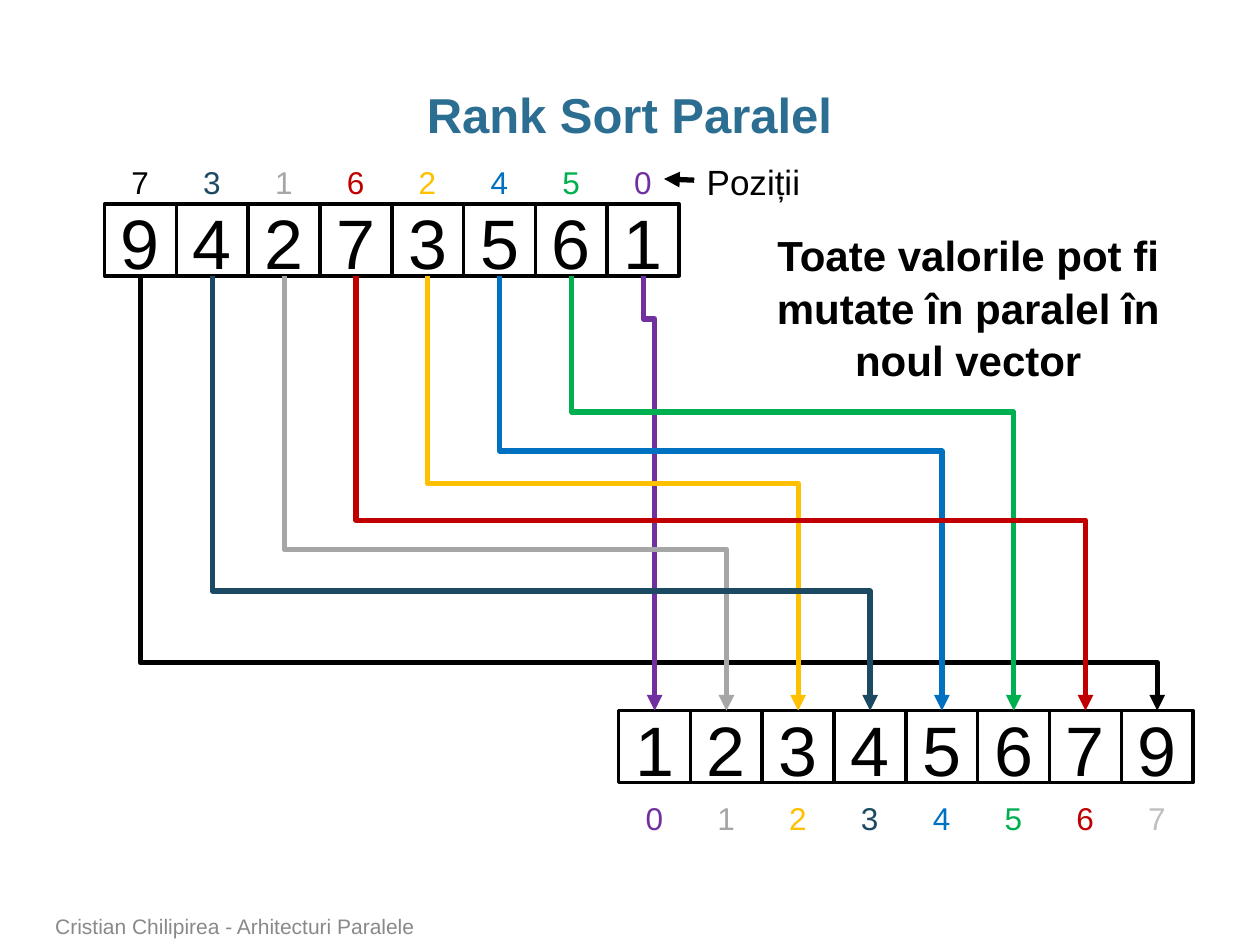
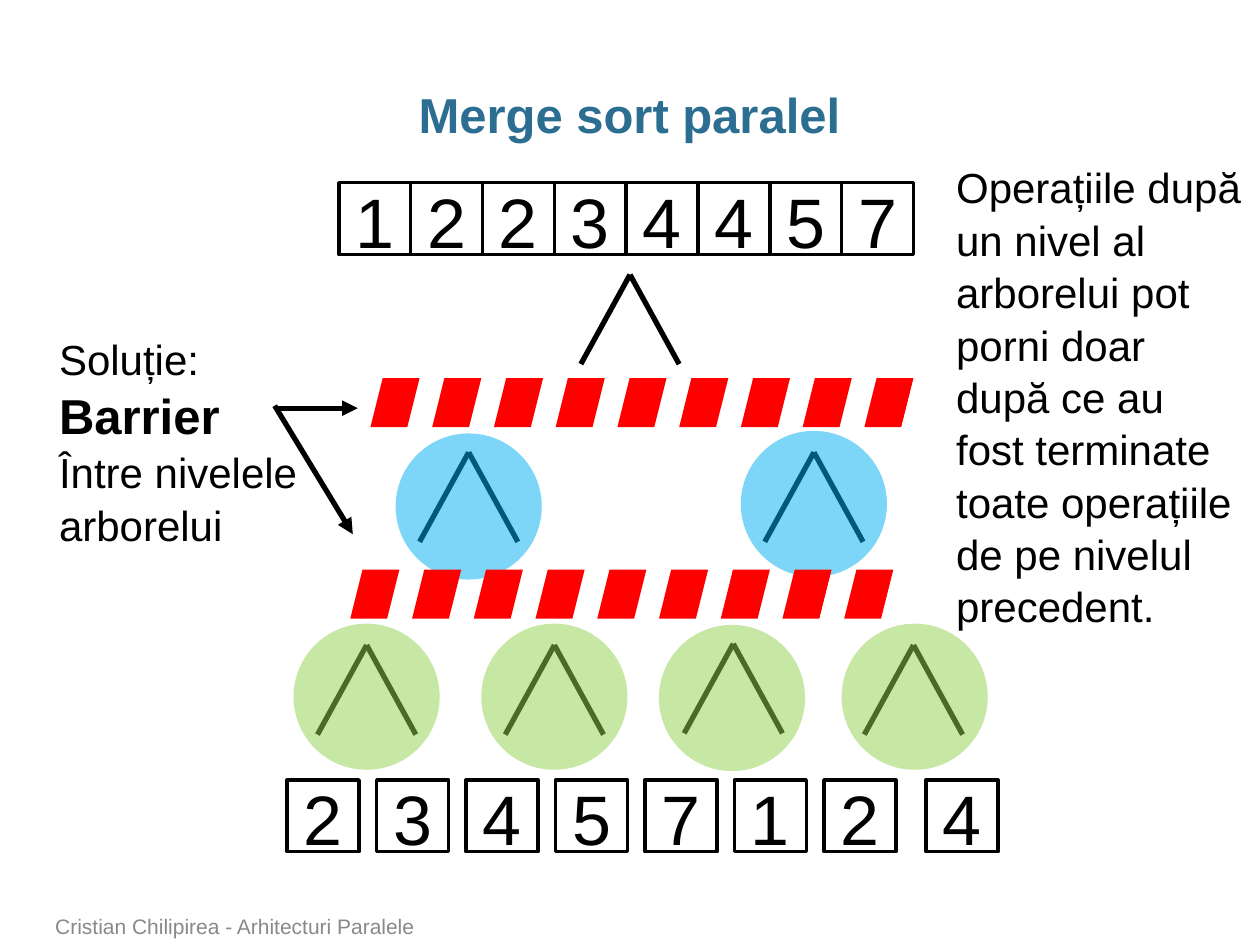
from lxml.etree import SubElement
from pptx import Presentation
from pptx.dml.color import RGBColor
from pptx.enum.shapes import MSO_CONNECTOR as Link, MSO_SHAPE as Shape
from pptx.enum.text import MSO_ANCHOR as Anchor, MSO_AUTO_SIZE as Fit, PP_ALIGN as Align
from pptx.oxml.ns import qn
from pptx.util import Inches, Pt

BLACK = RGBColor(0x00, 0x00, 0x00)
TITLE = RGBColor(0x2C, 0x6D, 0x92)
GREY = RGBColor(0x89, 0x89, 0x89)
SILVER = RGBColor(0xA6, 0xA6, 0xA6)
PALE = RGBColor(0xBF, 0xBF, 0xBF)
NAVY = RGBColor(0x1D, 0x4A, 0x63)
CRIMSON = RGBColor(0xC0, 0x00, 0x00)
GOLD = RGBColor(0xFF, 0xC0, 0x00)
BLUE = RGBColor(0x00, 0x70, 0xC0)
GREEN = RGBColor(0x00, 0xB0, 0x50)
PURPLE = RGBColor(0x70, 0x30, 0xA0)
LIME = RGBColor(0x92, 0xD0, 0x50)
SKY = RGBColor(0x00, 0xB0, 0xF0)
RED = RGBColor(0xFF, 0x00, 0x00)

FONT = "Arial"
FOOTER = "Cristian Chilipirea - Arhitecturi Paralele"
CELL = 0.57


class Deck:
    """Holds the style and the current slide."""

    def __init__(self):
        self.prs = Presentation()
        self.prs.slide_width, self.prs.slide_height = Inches(10), Inches(7.5)

    def start(self, title):
        self.slide = self.prs.slides.add_slide(self.prs.slide_layouts[5])
        self.shapes = self.slide.shapes
        head = self.shapes.title
        self.place(head, 0.34, 0.68, 9.31, 0.5)
        frame = head.text_frame
        frame.text = title
        frame.auto_size = Fit.NONE
        frame.vertical_anchor = Anchor.MIDDLE
        frame.margin_left = frame.margin_right = 0
        self.style(frame.paragraphs[0], 28, TITLE, True, Align.CENTER, 0.95)
        self.text(FOOTER, 0.34, 7.22, 7.37, 0.28, 12, GREY, anchor=Anchor.BOTTOM)

    def place(self, item, x, y, w, h):
        item.left, item.top = Inches(x), Inches(y)
        item.width, item.height = Inches(w), Inches(h)

    def style(self, para, size, color=BLACK, bold=False, align=Align.LEFT, space=1.04):
        para.alignment = align
        para.line_spacing = space
        font = para.font
        font.name, font.size, font.bold = FONT, Pt(size), bold
        font.color.rgb = color

    def text(self, words, x, y, w, h, size, color=BLACK, bold=False,
             align=Align.LEFT, wrap=True, anchor=Anchor.TOP):
        box = self.shapes.add_textbox(Inches(x), Inches(y), Inches(w), Inches(h))
        frame = box.text_frame
        frame.word_wrap = wrap
        frame.vertical_anchor = anchor
        frame.text = words
        for para in frame.paragraphs:
            self.style(para, size, color, bold, align)
        return frame

    def shape(self, kind, x, y, w, h, fill=None, alpha=None):
        item = self.shapes.add_shape(kind, Inches(x), Inches(y), Inches(w), Inches(h))
        item.shadow.inherit = False
        if fill is None:
            item.fill.background()
            item.line.color.rgb = BLACK
            item.line.width = Pt(2)
        else:
            item.fill.solid()
            item.fill.fore_color.rgb = fill
            item.line.fill.background()
        if alpha:
            tint = item.element.spPr.find(qn("a:solidFill"))[0]
            SubElement(tint, qn("a:alpha"), val=str(alpha * 1000))
        return item

    def cell(self, value, x, y):
        frame = self.shape(Shape.RECTANGLE, x, y, CELL, CELL).text_frame
        frame.text = str(value)
        frame.vertical_anchor = Anchor.MIDDLE
        self.style(frame.paragraphs[0], 40, align=Align.CENTER)

    def row(self, values, x, y):
        for i, value in enumerate(values):
            self.cell(value, x + i * CELL, y)

    def label(self, rank, mid, y, color):
        self.text(str(rank), mid - 0.17, y, 0.34, 0.4, 18, color, wrap=False)

    def line(self, x1, y1, x2, y2, color=BLACK, arrow=False, kind=Link.STRAIGHT):
        link = self.shapes.add_connector(kind, Inches(x1), Inches(y1), Inches(x2), Inches(y2))
        link.line.color.rgb = color
        link.line.width = Pt(3)
        props = link.element.spPr
        if arrow:
            SubElement(props.find(qn("a:ln")), qn("a:tailEnd"), type="triangle")
        SubElement(props, qn("a:effectLst"))
        return link

    def elbow(self, x1, y1, x2, y2, bend, color):
        """Runs down, across at height bend, then down to an arrowhead."""
        link = self.line(x1, y1, x2, y2, color, True, Link.ELBOW)
        w, h = y2 - y1, x2 - x1
        self.place(link, (x1 + x2 - w) / 2, (y1 + y2 - h) / 2, w, h)
        props = link.element.spPr
        frame = props.find(qn("a:xfrm"))
        frame.set("rot", "16200000")
        frame.set("flipH", "1")
        share = round((bend - y1) / w * 100000)
        guides = props.find(qn("a:prstGeom")).find(qn("a:avLst"))
        SubElement(guides, qn("a:gd"), name="adj1", fmla=f"val {share}")

    def fork(self, x, y):
        for side in (-0.39, 0.39):
            self.line(x + side, y + 0.71, x, y)

    def fence(self, x, y):
        for i in range(9):
            self.shape(Shape.PARALLELOGRAM, x + i * 0.49, y, 0.39, 0.39, RED)


def rank_sort(deck):
    deck.start("Rank Sort Paralel")
    # value, rank, colour, height of the bend
    moves = [(9, 7, BLACK, 5.26), (4, 3, NAVY, 4.69), (2, 1, SILVER, 4.36),
             (7, 6, CRIMSON, 4.13), (3, 2, GOLD, 3.84), (5, 4, BLUE, 3.58),
             (6, 5, GREEN, 3.27), (1, 0, PURPLE, 2.53)]
    left, top = 0.83, 1.62
    right, low = 4.91, 5.64

    # Both vectors
    deck.row([move[0] for move in moves], left, top)
    deck.row(sorted(move[0] for move in moves), right, low)

    # Positions and paths, with the longest path at the back
    paths = []
    for i, (_, rank, color, bend) in enumerate(moves):
        x1 = left + (i + 0.5) * CELL
        x2 = right + (rank + 0.5) * CELL
        deck.label(rank, x1, 1.23, color)
        deck.label(rank, x2, 6.28, PALE if rank == 7 else color)
        paths.append(((rank + 1) % 8, x1, x2, bend, color))
    for _, x1, x2, bend, color in sorted(paths, key=lambda path: path[0]):
        deck.elbow(x1, top + CELL, x2, low, bend, color)

    # Captions
    deck.text("Poziții", 5.51, 1.21, 0.95, 0.44, 20, wrap=False)
    deck.line(5.51, 1.43, 5.27, 1.42, arrow=True)
    deck.text("Toate valorile pot fi mutate în paralel în noul vector",
              5.85, 1.76, 3.67, 1.31, 24, bold=True, align=Align.CENTER)


def merge_sort(deck):
    deck.start("Merge sort paralel")

    # Merge tree
    leaves = [(2.91, 5.12), (4.4, 5.12), (5.82, 5.11), (7.25, 5.12)]
    nodes = [(3.72, 3.59), (6.46, 3.59)]
    for x, y in leaves + nodes + [(5, 2.18)]:
        deck.fork(x, y)

    # Sorted vector and single values
    deck.row([1, 2, 2, 3, 4, 4, 5, 7], 2.69, 1.45)
    spots = [2.28 + i * 0.71 for i in range(7)] + [7.35]
    for value, x in zip([2, 3, 4, 5, 7, 1, 2, 4], spots):
        deck.cell(value, x, 6.19)

    # Levels that run in parallel
    discs = [(2.33, 4.95, LIME), (3.82, 4.95, LIME), (5.23, 4.96, LIME),
             (6.68, 4.95, LIME), (3.14, 3.44, SKY), (5.88, 3.42, SKY)]
    for x, y, color in discs:
        deck.shape(Shape.OVAL, x, y, 1.16, 1.16, color, 51)

    # Barriers
    deck.fence(2.78, 4.52)
    deck.fence(2.94, 3)

    # Captions
    frame = deck.text("Soluție:\nBarrier", 0.37, 2.58, 2.15, 1.78, 24)
    para = frame.paragraphs[1]
    para.runs[0].font.size, para.runs[0].font.bold = Pt(28), True
    para.add_run().text = " Între nivelele arborelui"
    deck.line(2.18, 3.24, 2.84, 3.24, arrow=True)
    deck.line(2.18, 3.22, 2.8, 4.24, arrow=True)
    deck.text("Operațiile după un nivel al arborelui pot porni doar după ce au fost "
              "terminate toate operațiile de pe nivelul precedent.",
              7.49, 1.22, 2.47, 3.74, 24)


def main():
    deck = Deck()
    rank_sort(deck)
    merge_sort(deck)
    deck.prs.save("out.pptx")


if __name__ == "__main__":
    main()
